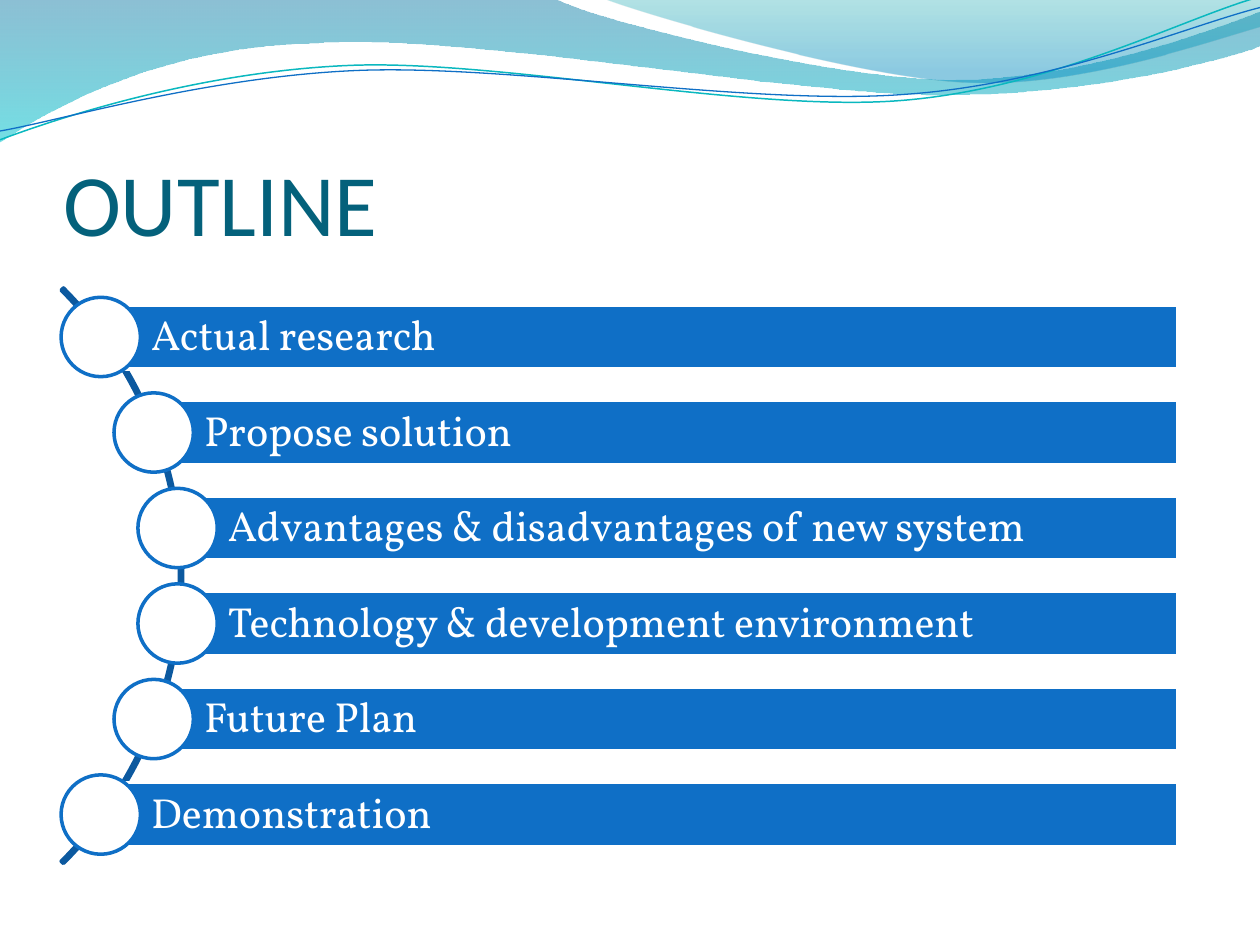
"""Build the OUTLINE slide: a wave header and six agenda bars along an arc."""
from lxml.etree import SubElement
from pptx import Presentation
from pptx.dml.color import RGBColor
from pptx.enum.shapes import MSO_SHAPE as Preset
from pptx.enum.text import MSO_ANCHOR as Anchor, MSO_AUTO_SIZE as AutoSize, PP_ALIGN as Align
from pptx.oxml.ns import qn
from pptx.util import Inches, Pt

COLORS = {
    "title": "04617B", "bar": "0F6FC6", "arc": "0C599F", "white": "FFFFFF",
    "deep": "0074A1", "cyan": "00C6CF", "teal": "00A1A9", "sky": "008BBF",
    "wave_teal": "0AB8BF",
}
COLORS = {name: RGBColor.from_string(value) for name, value in COLORS.items()}

BANDS = [
    ([(0, 0), (4.4, -0.01), (4.76, 0.17, 6.64, 0.63, 7.58, 0.63),
      (8.53, 0.63, 9.58, 0.26, 10, 0.09), (10.01, 0.36),
      (9.83, 0.44, 8.7, 0.76, 7.46, 0.75), (6.22, 0.75, 3.82, 0.28, 2.57, 0.34),
      (1.29, 0.36, 0.46, 0.83, -0.01, 1.13)],
     [(0, "deep", 45), (1, "cyan", 55)]),
    ([(4.79, -0.01), (5.09, 0.11, 6.82, 0.62, 7.69, 0.65),
      (8.56, 0.69, 9.61, 0.32, 10, 0.21), (10, 0)],
     [(0, "teal", 30), (0.8, "sky", 45)]),
]
WAVES = [
    ([(0, 1.11), (0.48, 0.93, 1.58, 0.57, 2.77, 0.52),
      (3.95, 0.47, 5.93, 0.89, 7.13, 0.8), (8.33, 0.71, 9.38, 0.15, 9.98, -0.02)],
     "wave_teal", 0.85),
    ([(0, 1.04), (0.47, 0.96, 1.64, 0.61, 2.83, 0.56),
      (4.03, 0.51, 5.97, 0.84, 7.17, 0.75), (8.36, 0.67, 9.41, 0.21, 10, 0.06)],
     "bar", 0.75),
]
TOPICS = [
    ("Actual research", 0.8),
    ("Propose solution", 1.22),
    ("Advantages & disadvantages of new system", 1.41),
    ("Technology & development environment", 1.41),
    ("Future Plan", 1.22),
    ("Demonstration", 0.8),
]
TITLE_FORMAT = {
    "vertical_anchor": Anchor.BOTTOM, "auto_size": AutoSize.NONE, "word_wrap": True,
    "margin_left": 0, "margin_right": 0,
    "margin_top": Inches(0.05), "margin_bottom": 0,
}
BAR_FORMAT = {
    "vertical_anchor": Anchor.MIDDLE, "word_wrap": True,
    "margin_left": Inches(0.4), "margin_right": Inches(0.07),
    "margin_top": Inches(0.07), "margin_bottom": Inches(0.07),
}
BAR_RIGHT, BAR_HEIGHT, CIRCLE_SIZE = 9.35, 0.51, 0.63
FIRST_TOP, LAST_TOP = 2.42, 6.21


def add_outline(shapes, segments, close):
    """Draw lines (x, y) and cubic curves (x1, y1, x2, y2, x, y) as one freeform."""
    points = [(Inches(segment[i]), Inches(segment[i + 1]))
              for segment in segments for i in range(0, len(segment), 2)]
    builder = shapes.build_freeform(*points[0], scale=1.0)
    builder.add_line_segments(points[1:], close=close)
    shape = builder.convert_to_shape()
    shape.shadow.inherit = False
    lines = iter(list(shape.element.iter(qn("a:lnTo"))))
    for segment in segments[1:]:
        line = next(lines)
        if len(segment) == 6:
            line_parent = line.getparent()
            curve = SubElement(line_parent, qn("a:cubicBezTo"))
            line.addprevious(curve)
            for corner in (line, next(lines), next(lines)):
                curve.append(corner[0])
                line_parent.remove(corner)
    return shape


def write_text(frame, text, frame_format, paragraph_format, font_format, color):
    """Write one paragraph with the given formats."""
    paragraph = frame.paragraphs[0]
    run = paragraph.add_run()
    run.text = text
    for target, values in ((frame, frame_format), (paragraph, paragraph_format),
                           (run.font, font_format)):
        for name, value in values.items():
            setattr(target, name, value)
    run.font.color.rgb = COLORS[color]


presentation = Presentation()
presentation.slide_width, presentation.slide_height = Inches(10), Inches(7.5)
slide = presentation.slides.add_slide(presentation.slide_layouts[5])
shapes = slide.shapes

for segments, stops in BANDS:
    band = add_outline(shapes, segments, close=True)
    band.line.fill.background()
    band.fill.gradient()
    band.fill.gradient_angle = 270
    for stop, (position, color, opacity) in zip(band.fill.gradient_stops, stops):
        stop.position = position
        stop.color.rgb = COLORS[color]
    for node, (position, color, opacity) in zip(band.element.iter(qn("a:srgbClr")), stops):
        SubElement(node, qn("a:alpha"), val=str(opacity * 1000))

for segments, color, width in WAVES:
    wave = add_outline(shapes, segments, close=False)
    wave.fill.background()
    wave.line.color.rgb = COLORS[color]
    wave.line.width = Pt(width)

title = shapes.title
title.left, title.top, title.width, title.height = map(Inches, (0.5, 0.77, 9, 1.25))
write_text(title.text_frame, "OUTLINE", TITLE_FORMAT, {"alignment": Align.LEFT},
           {"name": "Calibri", "size": Pt(50)}, "title")

arc = shapes.add_shape(Preset.BLOCK_ARC, *map(Inches, (-5.01, 1.34, 6.46, 6.46)))
arc.shadow.inherit = False
for index, value in enumerate((189, 27, 0.004)):
    arc.adjustments[index] = value
arc.fill.background()
arc.line.color.rgb = COLORS["arc"]
arc.line.width = Pt(2)

pitch = (LAST_TOP - FIRST_TOP) / (len(TOPICS) - 1)
for index, (topic, left) in enumerate(TOPICS):
    top = FIRST_TOP + index * pitch
    circle_left = left - CIRCLE_SIZE / 2
    circle_top = top + (BAR_HEIGHT - CIRCLE_SIZE) / 2
    bar = shapes.add_shape(Preset.RECTANGLE, Inches(left), Inches(top),
                           Inches(BAR_RIGHT - left), Inches(BAR_HEIGHT))
    circle = shapes.add_shape(Preset.OVAL, Inches(circle_left), Inches(circle_top),
                              Inches(CIRCLE_SIZE), Inches(CIRCLE_SIZE))
    for shape, fill, line in ((bar, "bar", "white"), (circle, "white", "bar")):
        shape.shadow.inherit = False
        shape.fill.solid()
        shape.fill.fore_color.rgb = COLORS[fill]
        shape.line.color.rgb = COLORS[line]
        shape.line.width = Pt(2)
    write_text(bar.text_frame, topic, BAR_FORMAT,
               {"alignment": Align.LEFT, "line_spacing": 0.9},
               {"name": "Vollkorn", "size": Pt(24)}, "white")

presentation.save("out.pptx")
